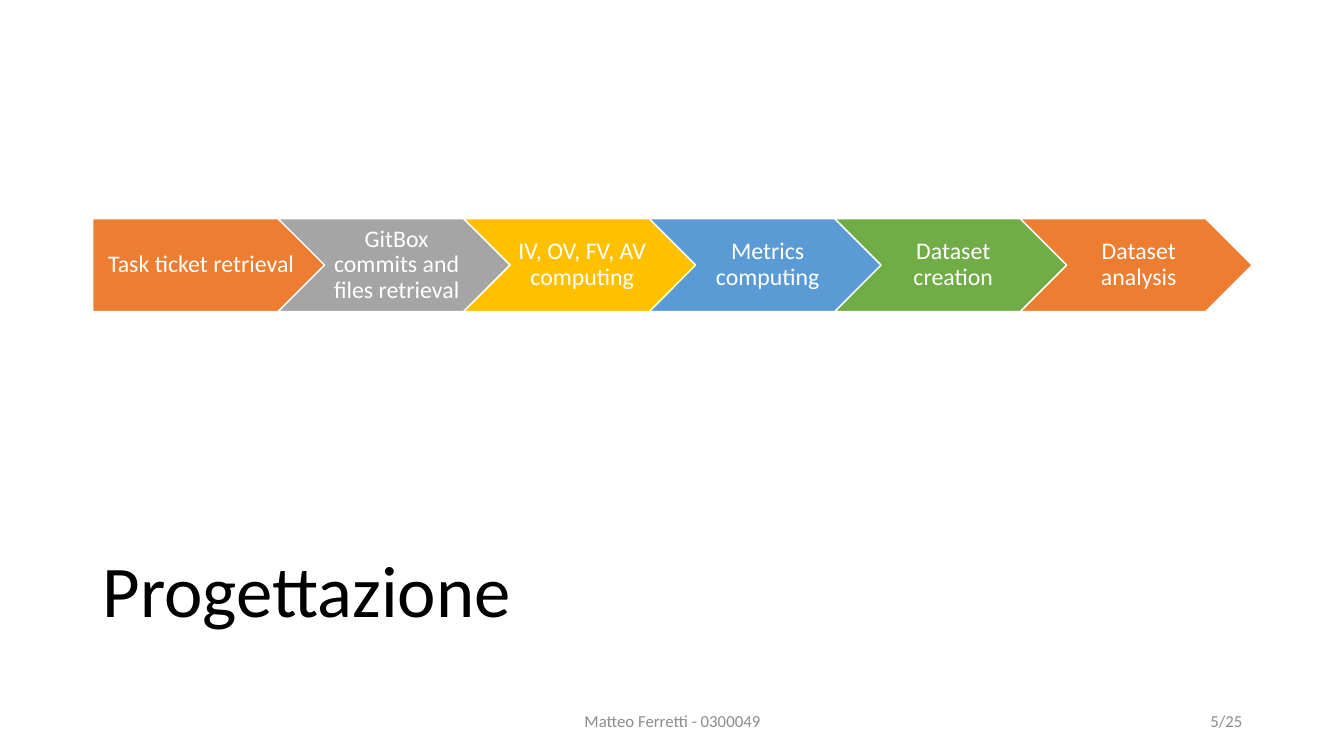
from dataclasses import dataclass

from pptx import Presentation
from pptx.dml.color import RGBColor
from pptx.enum.shapes import MSO_SHAPE as SHAPE
from pptx.enum.text import MSO_ANCHOR as ANCHOR, PP_ALIGN as ALIGN
from pptx.util import Inches, Pt


@dataclass(frozen=True)
class Theme:
    font: str = "Calibri"
    title_size: int = 52
    step_size: int = 17
    footer_size: int = 12
    black: str = "000000"
    white: str = "FFFFFF"
    gray: str = "8C8C8C"
    accents: tuple = ("ED7D31", "A5A5A5", "FFC000", "5B9BD5", "70AD47")


class SlideBuilder:
    def __init__(self, slide, theme):
        self.slide = slide
        self.theme = theme

    def style_text(self, tf, text, size, color, align, spacing=1.0):
        tf.word_wrap = True
        tf.vertical_anchor = ANCHOR.MIDDLE
        tf.text = text
        p = tf.paragraphs[0]
        p.alignment = align
        p.line_spacing = spacing
        r = p.runs[0]
        r.font.name = self.theme.font
        r.font.size = Pt(size)
        r.font.color.rgb = RGBColor.from_string(color)

    def label(self, box, text, size, color, align, spacing=1.0):
        sp = self.slide.shapes.add_textbox(*map(Inches, box))
        self.style_text(sp.text_frame, text, size, color, align, spacing)

    def footer(self, box, text, align):
        self.label(box, text, self.theme.footer_size, self.theme.gray, align)

    def step(self, box, kind, text, color, inset):
        sp = self.slide.shapes.add_shape(kind, *map(Inches, box))
        sp.shadow.inherit = False
        sp.fill.solid()
        sp.fill.fore_color.rgb = RGBColor.from_string(color)
        sp.line.color.rgb = RGBColor.from_string(self.theme.white)
        sp.line.width = Pt(1)
        tf = sp.text_frame
        tf.margin_left, tf.margin_right = Inches(inset), Inches(0.02)
        self.style_text(tf, text, self.theme.step_size, self.theme.white,
                        ALIGN.CENTER, 0.9)

    def process(self, left, top, width, height, pitch, labels):
        accents = self.theme.accents
        for i, text in enumerate(labels):
            kind, inset = (SHAPE.CHEVRON, 0.07) if i else (SHAPE.PENTAGON, 0.1)
            box = (left + i * pitch, top, width, height)
            self.step(box, kind, text, accents[i % len(accents)], inset)


def main():
    prs = Presentation()
    prs.slide_width, prs.slide_height = Inches(13.33), Inches(7.5)
    theme = Theme()
    s = SlideBuilder(prs.slides.add_slide(prs.slide_layouts[6]), theme)
    s.label((0.92, 5.07, 11.5, 1.64), "Progettazione",
            theme.title_size, theme.black, ALIGN.LEFT, 0.9)
    s.footer((4.42, 6.95, 4.5, 0.4), "Matteo Ferretti - 0300049", ALIGN.CENTER)
    s.footer((9.42, 6.95, 3, 0.4), "5/25", ALIGN.RIGHT)
    s.process(0.92, 2.17, 2.3, 0.92, 1.84, [
        "Task ticket retrieval",
        "GitBox commits and files retrieval",
        "IV, OV, FV, AV computing",
        "Metrics computing",
        "Dataset creation",
        "Dataset analysis",
    ])
    prs.save("out.pptx")


if __name__ == "__main__":
    main()
